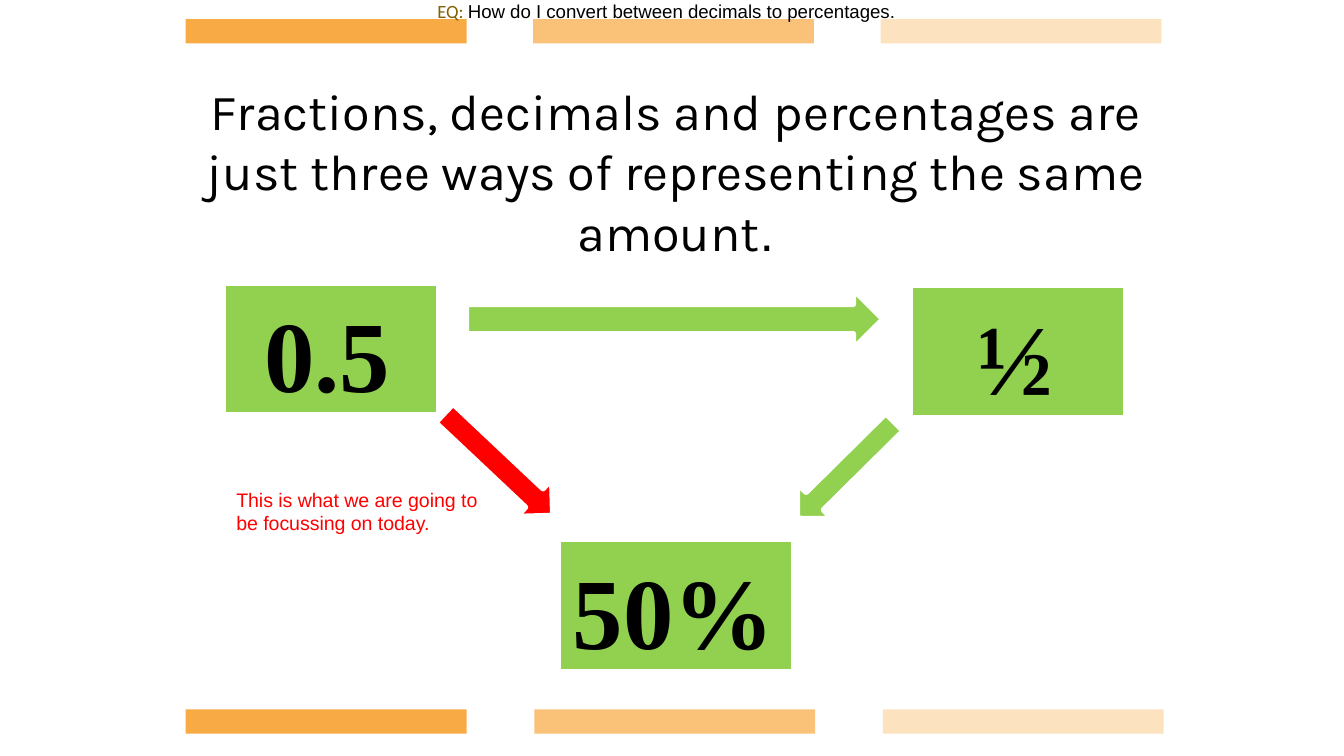
"""Builds a slide linking a decimal, a fraction and a percentage."""
from lxml.etree import SubElement
from pptx import Presentation
from pptx.dml.color import RGBColor
from pptx.enum.shapes import MSO_SHAPE
from pptx.enum.text import MSO_ANCHOR, PP_ALIGN
from pptx.oxml.ns import qn
from pptx.util import Pt

ORANGE = RGBColor(0xF8, 0xAB, 0x44)
GREEN = RGBColor(0x92, 0xD0, 0x50)
RED = RGBColor(0xFF, 0, 0)
OLIVE = RGBColor(0x80, 0x60, 0)
BLACK = RGBColor(0, 0, 0)
WHITE = RGBColor(0xFF, 0xFF, 0xFF)


class Board:
    """Holds the current slide and draws its elements in one style."""

    def __init__(self, slide):
        self.slide = slide

    def add_runs(self, frame, runs, align=PP_ALIGN.CENTER):
        """Fill a frame with runs of (text, font, size, colour)."""
        frame.word_wrap = True
        paragraph = frame.paragraphs[0]
        paragraph.alignment = align
        for text, font, size, colour in runs:
            run = paragraph.add_run()
            run.text = text
            run.font.name = font
            run.font.size = Pt(size)
            run.font.color.rgb = colour

    def title(self, left, top, width, height, runs):
        heading = self.slide.shapes.title
        heading.left, heading.top = Pt(left), Pt(top)
        heading.width, heading.height = Pt(width), Pt(height)
        frame = heading.text_frame
        frame.vertical_anchor = MSO_ANCHOR.MIDDLE
        frame.margin_left = frame.margin_right = Pt(3)
        frame.margin_top = frame.margin_bottom = Pt(3)
        self.add_runs(frame, runs)
        frame.paragraphs[0].line_spacing = 1.0

    def label(self, left, top, width, height, runs, align):
        box = self.slide.shapes.add_textbox(Pt(left), Pt(top), Pt(width), Pt(height))
        self.add_runs(box.text_frame, runs, align)

    def shape(self, kind, left, top, width, height, fill, border=0):
        shape = self.slide.shapes.add_shape(kind, Pt(left), Pt(top), Pt(width), Pt(height))
        shape.shadow.inherit = False
        shape.fill.solid()
        shape.fill.fore_color.rgb = fill
        if border:
            shape.line.color.rgb = WHITE
            shape.line.width = Pt(border)
        else:
            shape.line.fill.background()
        return shape

    def bar(self, left, top, opacity):
        bar = self.shape(MSO_SHAPE.RECTANGLE, left, top, 150.5, 13, ORANGE)
        if opacity < 100:
            colour = next(bar.element.spPr.iter(qn("a:srgbClr")))
            SubElement(colour, qn("a:alpha"), val=str(opacity * 1000))

    def card(self, left, top, width, amount, space_size):
        card = self.shape(MSO_SHAPE.RECTANGLE, left, top, width, 72.7, GREEN, 5)
        frame = card.text_frame
        frame.vertical_anchor = MSO_ANCHOR.TOP
        frame.margin_top, frame.margin_bottom = Pt(6), Pt(0)
        self.add_runs(frame, [(amount, "Times New Roman", 54, BLACK),
                              (" ", "Times New Roman", space_size, BLACK)])
        frame.paragraphs[0].font.bold = True

    def arrow(self, left, top, width, height, rotation, fill):
        arrow = self.shape(MSO_SHAPE.DOWN_ARROW, left, top, width, height, fill, 3)
        arrow.rotation = rotation


def main():
    deck = Presentation()
    deck.slide_width, deck.slide_height = Pt(720), Pt(405)
    board = Board(deck.slides.add_slide(deck.slide_layouts[5]))

    for top, gap in ((10.2, 186.1), (380, 186.7)):
        for column, opacity in enumerate((100, 72, 34)):
            board.bar(99.5 + column * gap, top, opacity)

    board.title(99.5, 44, 525, 95, [
        ("Fractions, decimals and percentages are just three ways of "
         "representing the same amount", "Karla", 27, BLACK),
        (".", "Arial", 27, BLACK)])

    board.card(486.7, 151.9, 117.4, "½", 10.5)
    board.card(118.8, 150.5, 117.4, "0.5", 18)
    board.arrow(345.6, 59.3, 31.7, 223.2, 270, GREEN)
    board.arrow(439.9, 215.3, 26.6, 73.4, 45.3, GREEN)
    board.arrow(253.4, 210.2, 27.4, 79.9, 313.3, GREEN)
    board.arrow(253.4, 208.8, 27.4, 79.9, 313.3, RED)
    board.card(298.1, 288, 128.2, "50%", 10.5)

    board.label(119.5, 257.8, 155.5, 32.4, [
        ("This is what we are going to be focussing on today.", "Arial", 10.5, RED),
    ], PP_ALIGN.LEFT)
    board.label(209.5, -3.6, 297.4, 19.4, [
        ("EQ: ", "Calibri", 10, OLIVE),
        ("How do I convert between decimals to percentages. ", "Arial", 10, BLACK),
    ], PP_ALIGN.CENTER)

    deck.save("out.pptx")


if __name__ == "__main__":
    main()
